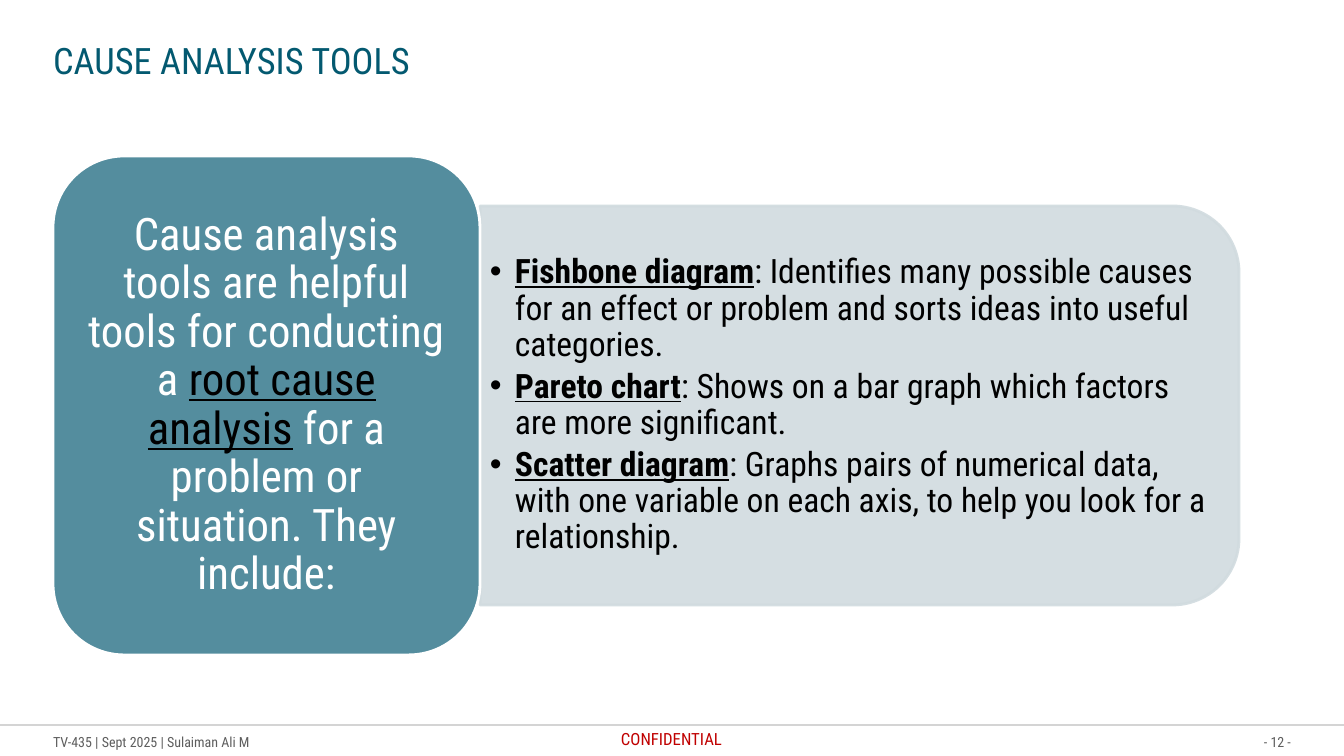
from lxml import etree
from pptx import Presentation
from pptx import util as u
from pptx.dml.color import RGBColor
from pptx.enum import shapes, text
from pptx.oxml.ns import qn

EMU_PER_PX = 914400 / 100.8
COLORS = {"title": "035970", "teal": "548D9E", "panel": "D1DBDF", "white": "FFFFFF",
          "black": "000000", "red": "C00000", "grey": "5E5E5E"}
FONT = "Roboto Condensed"
LEFT, CENTER, RIGHT = text.PP_ALIGN.LEFT, text.PP_ALIGN.CENTER, text.PP_ALIGN.RIGHT
TOP, MIDDLE = text.MSO_ANCHOR.TOP, text.MSO_ANCHOR.MIDDLE

TOOLS = [
    ("Fishbone diagram", ": Identifies many possible causes for an effect or problem "
     "and sorts ideas into useful categories."),
    ("Pareto chart", ": Shows on a bar graph which factors are more significant."),
    ("Scatter diagram", ": Graphs pairs of numerical data, with one variable on each axis, "
     "to help you look for a relationship."),
]


def px(n):
    return round(n * EMU_PER_PX)


def rgb(name):
    return RGBColor.from_string(COLORS[name])


class SlideBuilder:
    def __init__(self, slide):
        self.slide = slide

    def place(self, shape, left, top, width, height):
        shape.left, shape.top, shape.width, shape.height = map(px, (left, top, width, height))

    def frame(self, shape, anchor, inset=(0, 0), wrap=True):
        tf = shape.text_frame
        tf.word_wrap, tf.vertical_anchor = wrap, anchor
        tf.auto_size = text.MSO_AUTO_SIZE.NONE
        tf.margin_left = tf.margin_right = px(inset[0])
        tf.margin_top = tf.margin_bottom = px(inset[1])
        return tf

    def style(self, paragraph, size, color, align=LEFT, spacing=1.0):
        paragraph.alignment, paragraph.line_spacing = align, spacing
        font = paragraph.font
        font.name, font.size, font.color.rgb = FONT, u.Pt(size), rgb(color)

    def fade(self, color_format, percent):
        """Make every solid colour below the given element partly transparent."""
        for color in color_format.iter(qn("a:srgbClr")):
            etree.SubElement(color, qn("a:alpha"), val=str(percent * 1000))

    def title(self, words, *box):
        title = self.slide.shapes.title
        self.place(title, *box)
        tf = self.frame(title, TOP)
        tf.text = words
        self.style(tf.paragraphs[0], 26, "title")

    def label(self, words, box, size, color, align=LEFT, anchor=MIDDLE, wrap=False):
        label = self.slide.shapes.add_textbox(*map(px, box))
        tf = self.frame(label, anchor, wrap=wrap)
        tf.text = words
        self.style(tf.paragraphs[0], size, color, align)

    def rule(self, x1, x2, y):
        rule = self.slide.shapes.add_connector(
            shapes.MSO_CONNECTOR.STRAIGHT, px(x1), px(y), px(x2), px(y))
        rule.line.width, rule.line.color.rgb = u.Pt(1), rgb("black")
        self.fade(rule.element.spPr, 25)
        etree.SubElement(rule.element.spPr, qn("a:effectLst"))

    def block(self, preset, box, fill, line, opacity=100, rotation=0):
        block = self.slide.shapes.add_shape(preset, *map(px, box))
        block.rotation = rotation
        block.fill.solid()
        block.fill.fore_color.rgb = rgb(fill)
        block.line.width, block.line.color.rgb = u.Pt(2), rgb(line)
        if opacity < 100:
            self.fade(block.element.spPr, opacity)
        block.shadow.inherit = False
        return block

    def bullets(self, items, *box):
        body = self.slide.placeholders[1]
        self.place(body, *box)
        body.element.getparent().append(body.element)  # bring in front of the panel
        tf = self.frame(body, MIDDLE, (10, 5))
        for i, (term, meaning) in enumerate(items):
            paragraph = tf.paragraphs[0] if i == 0 else tf.add_paragraph()
            paragraph.level = 1
            paragraph.space_before, paragraph.space_after = u.Pt(0), u.Pt(4)
            props = paragraph._p.get_or_add_pPr()
            props.set("marL", str(px(25)))
            props.set("indent", str(px(-25)))
            etree.SubElement(props, qn("a:buFont"), typeface="Arial")
            etree.SubElement(props, qn("a:buChar"), char="•")
            self.style(paragraph, 24, "black", spacing=0.9)
            name = paragraph.add_run()
            name.text = term
            name.font.bold = name.font.underline = True
            paragraph.add_run().text = meaning


def main():
    prs = Presentation()
    prs.slide_width, prs.slide_height = px(1344), px(756)
    page = SlideBuilder(prs.slides.add_slide(prs.slide_layouts[1]))

    # Footer
    page.rule(0, 1344, 725)
    page.label("CONFIDENTIAL", (621, 729, 105, 20), 12, "red", anchor=TOP, wrap=True)
    page.label("TV-435 | Sept 2025 | Sulaiman Ali M", (53, 733, 203, 17), 10, "grey")
    page.label("- 12 -", (1259, 733, 32, 17), 10, "grey", RIGHT)

    # Title
    page.title("CAUSE ANALYSIS TOOLS", 53, 38, 395, 44)

    # Tool list on its panel, rounded on the right
    page.block(shapes.MSO_SHAPE.ROUND_2_SAME_RECTANGLE, (660, 26, 399, 759),
               "panel", "panel", opacity=90, rotation=90)
    page.bullets(TOOLS, 480, 225, 740, 361)

    # Introduction
    intro = page.block(shapes.MSO_SHAPE.ROUNDED_RECTANGLE, (53, 156, 427, 499), "teal", "white")
    paragraph = page.frame(intro, MIDDLE, (13, 7)).paragraphs[0]
    page.style(paragraph, 32, "white", CENTER, 0.9)
    paragraph.add_run().text = "Cause analysis tools are helpful tools for conducting a\u00a0"
    topic = paragraph.add_run()
    topic.text = "root cause analysis"
    topic.font.underline, topic.font.color.rgb = True, rgb("black")
    paragraph.add_run().text = "\u00a0for a problem or situation. They include:"

    prs.save("out.pptx")


if __name__ == "__main__":
    main()
